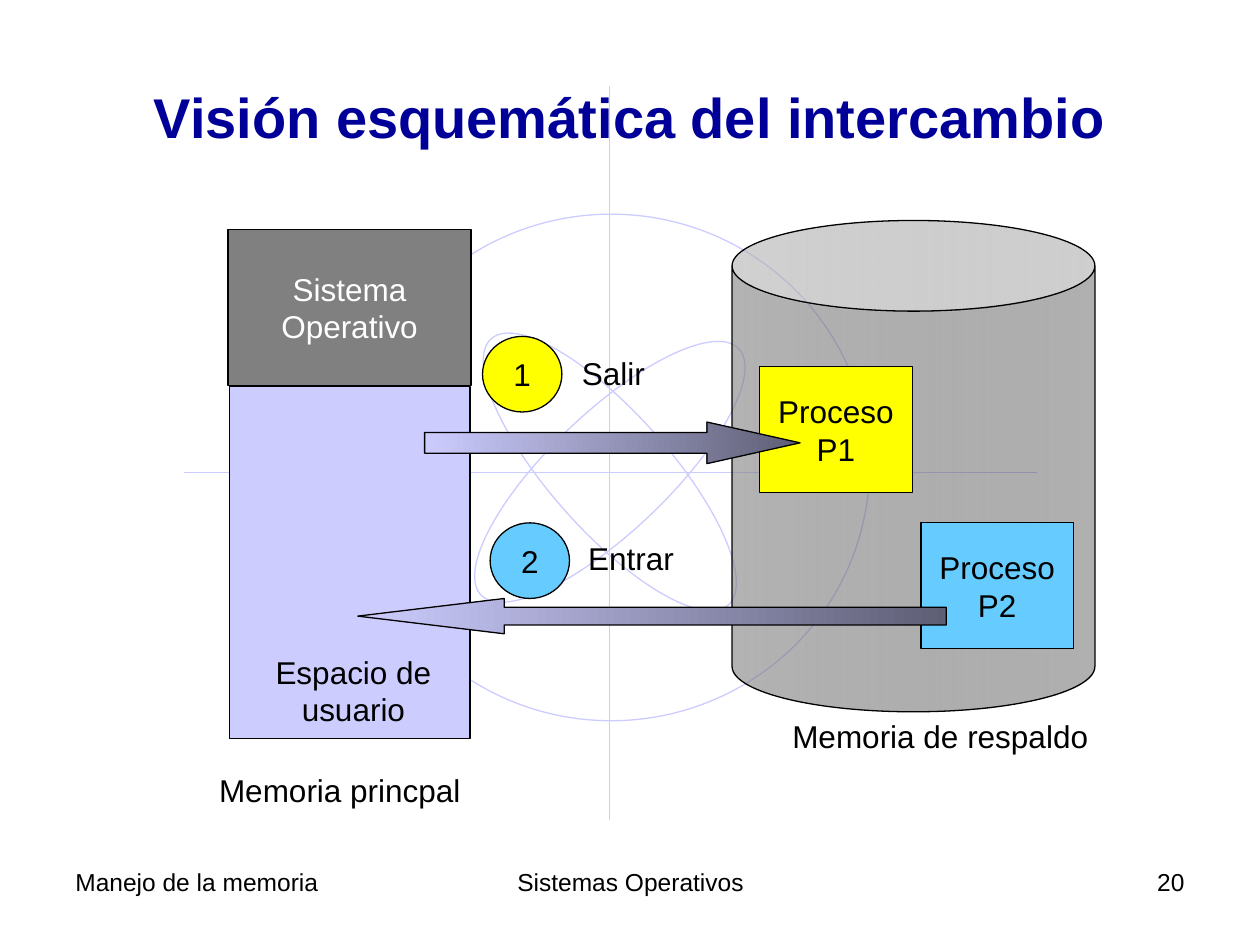
"""Build the slide that outlines how processes are swapped between memories."""
import dataclasses

import lxml.etree
import pptx
import pptx.dml.color
import pptx.enum.dml
import pptx.enum.shapes
import pptx.enum.text
import pptx.oxml.ns
import pptx.util

Inches = pptx.util.Inches
Shape = pptx.enum.shapes.MSO_SHAPE
Align = pptx.enum.text.PP_ALIGN
Anchor = pptx.enum.text.MSO_ANCHOR
AutoSize = pptx.enum.text.MSO_AUTO_SIZE
qualified = pptx.oxml.ns.qn


@dataclasses.dataclass(frozen=True)
class Theme:
    font: str = "Arial"
    title_size: int = 32
    body_size: int = 18
    footer_size: int = 14
    line_width: float = 0.75
    title: str = "000099"
    ink: str = "000000"
    white: str = "FFFFFF"
    lavender: str = "CCCCFF"
    gray: str = "808080"
    yellow: str = "FFFF00"
    blue: str = "66CCFF"
    arrow_stops: tuple = (("5E5E75", 100), ("CCCCFF", 100))
    disk_stops: tuple = (("3B3B3B", 40), ("808080", 60))


def color(code):
    return pptx.dml.color.RGBColor.from_string(code)


def write(shape, text, *, font, size, ink, bold=False, align=Align.CENTER,
          anchor=Anchor.MIDDLE, wrap=False):
    frame = shape.text_frame
    frame.word_wrap = wrap
    frame.vertical_anchor = anchor
    frame.text = text
    for paragraph in frame.paragraphs:
        paragraph.alignment = align
        paragraph.font.name = font
        paragraph.font.size = pptx.util.Pt(size)
        paragraph.font.bold = bold
        paragraph.font.color.rgb = color(ink)


class SlideBuilder:
    def __init__(self, slide, theme):
        self.slide = slide
        self.theme = theme

    def outline(self, line, ink):
        line.color.rgb = color(ink)
        line.width = pptx.util.Pt(self.theme.line_width)

    def shape(self, kind, box, fill=None, line=None, rotation=0, adjustments=()):
        shape = self.slide.shapes.add_shape(kind, *map(Inches, box))
        shape.shadow.inherit = False
        shape.rotation = rotation
        for index, value in enumerate(adjustments):
            shape.adjustments[index] = value
        if fill:
            shape.fill.solid()
            shape.fill.fore_color.rgb = color(fill)
        else:
            shape.fill.background()
        self.outline(shape.line, line or self.theme.ink)
        return shape

    def gradient_shape(self, kind, box, stops, adjustments):
        shape = self.shape(kind, box, adjustments=adjustments)
        shape.fill.gradient()
        shape.fill.gradient_angle = 180
        for stop, (code, opacity) in zip(shape.fill.gradient_stops, stops):
            stop.color.rgb = color(code)
        elements = shape.element.spPr.iter(qualified("a:gs"))
        for element, (code, opacity) in zip(elements, stops):
            if opacity < 100:
                alpha = lxml.etree.SubElement(element[0], qualified("a:alpha"))
                alpha.set("val", str(opacity * 1000))

    def labelled_shape(self, kind, box, fill, text, ink=None, wrap=False):
        shape = self.shape(kind, box, fill)
        write(shape, text, font=self.theme.font, size=self.theme.body_size,
              ink=ink or self.theme.ink, wrap=wrap)

    def text(self, box, text, size=None, ink=None, grow=False, **text_format):
        shape = self.slide.shapes.add_textbox(*map(Inches, box))
        write(shape, text, font=self.theme.font, size=size or self.theme.body_size,
              ink=ink or self.theme.ink, **text_format)
        shape.text_frame.auto_size = AutoSize.SHAPE_TO_FIT_TEXT if grow else AutoSize.NONE

    def label(self, box, text, align=Align.LEFT, wrap=False):
        self.text(box, text, grow=True, align=align, anchor=Anchor.TOP, wrap=wrap)

    def line(self, start, end, ink):
        connector = self.slide.shapes.add_connector(
            pptx.enum.shapes.MSO_CONNECTOR.STRAIGHT, *map(Inches, start + end))
        self.outline(connector.line, ink)
        lxml.etree.SubElement(connector.element.spPr, qualified("a:effectLst"))


def draw_backdrop(builder):
    ink = builder.theme.lavender
    builder.line((4.84, 0.68), (4.84, 6.51), ink)
    builder.line((1.46, 3.75), (8.23, 3.75), ink)
    builder.shape(Shape.OVAL, (2.8, 1.7, 4.1, 4.02), line=ink)
    for rotation in (46.3, 318.3):
        builder.shape(Shape.OVAL, (4.37, 2.33, 0.94, 2.83), line=ink, rotation=rotation)


def draw_memories(builder):
    theme = builder.theme
    builder.shape(Shape.RECTANGLE, (1.82, 3.07, 1.91, 2.79), theme.lavender)
    builder.labelled_shape(Shape.RECTANGLE, (1.81, 1.82, 1.93, 1.24), theme.gray,
                           "Sistema Operativo", ink=theme.white, wrap=True)
    builder.gradient_shape(Shape.CAN, (5.81, 1.75, 2.88, 3.9), theme.disk_stops, (0.25,))
    builder.label((2.03, 5.13, 1.55, 0.7), "Espacio de\nusuario",
                  align=Align.CENTER, wrap=True)


def draw_swaps(builder):
    theme = builder.theme
    processes = (("P1", 6.03, 2.91, theme.yellow), ("P2", 7.31, 4.15, theme.blue))
    for name, left, top, fill in processes:
        builder.labelled_shape(Shape.RECTANGLE, (left, top, 1.21, 1), fill, f"Proceso\n{name}")
    builder.gradient_shape(Shape.RIGHT_ARROW, (3.37, 3.35, 2.98, 0.33),
                           theme.arrow_stops, (0.5, 2.24))
    builder.gradient_shape(Shape.LEFT_ARROW, (2.84, 4.75, 4.67, 0.28),
                           theme.arrow_stops, (0.5, 4.15))
    builder.label((1.64, 6.07, 2.25, 0.4), "Memoria princpal", wrap=True)
    builder.label((6.19, 5.64, 2.56, 0.4), "Memoria de respaldo", wrap=True)
    steps = (("1", 3.83, 2.67, theme.yellow), ("2", 3.89, 4.15, theme.blue))
    for number, left, top, fill in steps:
        builder.labelled_shape(Shape.OVAL, (left, top, 0.63, 0.6), fill, number)
    builder.label((4.52, 2.76, 0.7, 0.4), "Salir")
    builder.label((4.57, 4.23, 0.88, 0.4), "Entrar")


def draw_footer(builder):
    footers = (
        ("Sistemas Operativos", 3.42, 3.17, Align.CENTER),
        ("20", 7.17, 2.33, Align.RIGHT),
        ("Manejo de la memoria", 0.5, 2.33, Align.LEFT),
    )
    for text, left, width, align in footers:
        builder.text((left, 6.83, width, 0.52), text, size=builder.theme.footer_size,
                     align=align, anchor=Anchor.TOP, wrap=True)


def main():
    presentation = pptx.Presentation()
    presentation.slide_width = Inches(10)
    presentation.slide_height = Inches(7.5)
    slide = presentation.slides.add_slide(presentation.slide_layouts[6])
    theme = Theme()
    builder = SlideBuilder(slide, theme)
    draw_backdrop(builder)
    builder.text((0.5, 0.3, 9, 1.25), "Visión esquemática del intercambio",
                 size=theme.title_size, ink=theme.title, bold=True, wrap=True)
    draw_memories(builder)
    draw_swaps(builder)
    draw_footer(builder)
    presentation.save("out.pptx")


if __name__ == "__main__":
    main()
